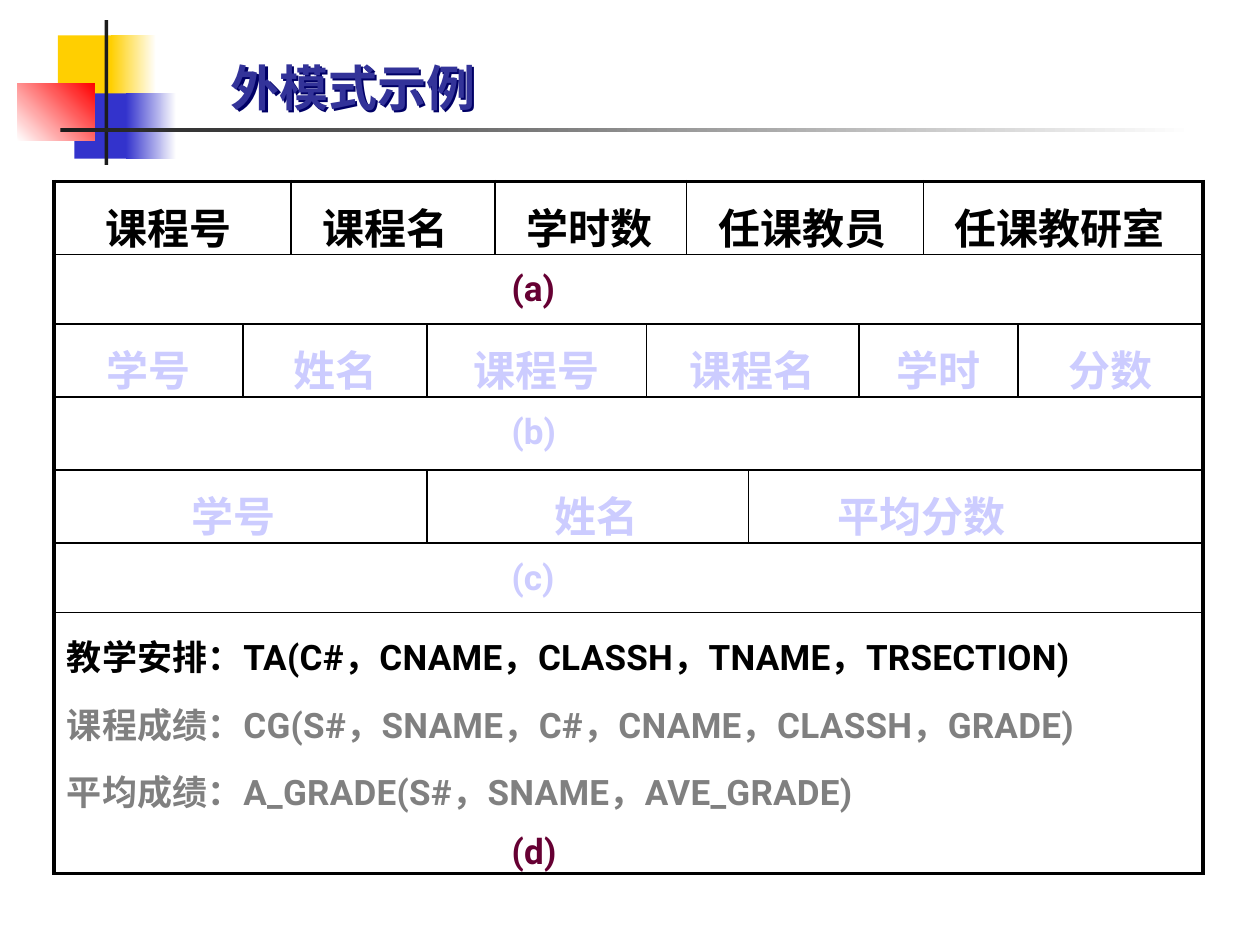
from dataclasses import dataclass

from lxml import etree
from pptx import Presentation
from pptx import util as u
from pptx.dml.color import RGBColor
from pptx.enum import shapes, text
from pptx.oxml.ns import qn


@dataclass(frozen=True)
class Theme:
    font: str = "Roboto"
    yellow: str = "FFCF01"
    blue: str = "3333CC"
    red: str = "FF0000"
    white: str = "FFFFFF"
    bar: str = "1C1C1C"
    title: str = "333399"
    title_shadow: str = "000066"
    ink: str = "000000"
    label: str = "660033"
    pale: str = "CCCCFF"
    gray: str = "808080"
    title_size: int = 28
    field_size: int = 24
    body_size: int = 20
    outer_line: float = 2.25
    inner_line: float = 1


theme = Theme()


def add_run(paragraph, words, size, color):
    run = paragraph.add_run()
    run.text = words
    run.font.size = u.Pt(size)
    run.font.bold = True
    run.font.color.rgb = RGBColor.from_string(color)
    run.font.name = theme.font
    latin = run.font._element.find(qn("a:latin"))
    latin.addnext(etree.Element(qn("a:ea"), typeface=theme.font))
    return run


def set_border(cell, side, width):
    line = etree.SubElement(cell._tc.get_or_add_tcPr(), qn(f"a:ln{side}"), w=str(u.Pt(width)))
    fill = etree.SubElement(line, qn("a:solidFill"))
    etree.SubElement(fill, qn("a:srgbClr"), val=theme.ink)


presentation = Presentation()
presentation.slide_width = u.Inches(10)
presentation.slide_height = u.Inches(7.5)
slide = presentation.slides.add_slide(presentation.slide_layouts[5])

# Corner ornament: left, top, width, height, colours, gradient angle
ornament = [
    (0.46, 0.28, 0.48, 0.52, [theme.yellow], 0),
    (0.88, 0.28, 0.36, 0.52, [theme.yellow, theme.white], 0),
    (0.59, 0.74, 0.46, 0.52, [theme.blue], 0),
    (1.0, 0.74, 0.4, 0.52, [theme.blue, theme.white], 0),
    (0.14, 0.66, 0.61, 0.46, [theme.white, theme.red], 45),
    (0.83, 0.16, 0.03, 1.15, [theme.bar], 0),
    (0.48, 1.02, 9, 0.03, [theme.bar, theme.white], 0),
]
for *box, colors, angle in ornament:
    shape = slide.shapes.add_shape(shapes.MSO_SHAPE.RECTANGLE, *map(u.Inches, box))
    shape.shadow.inherit = False
    shape.line.fill.background()
    if len(colors) == 1:
        shape.fill.solid()
        shape.fill.fore_color.rgb = RGBColor.from_string(colors[0])
    else:
        shape.fill.gradient()
        shape.fill.gradient_angle = angle
        for stop, color, position in zip(shape.fill.gradient_stops, colors, (0, 1)):
            stop.color.rgb = RGBColor.from_string(color)
            stop.position = position

# Title; the shadow of its unfilled box falls from the letters
title = slide.shapes.title
title.left, title.top, title.width, title.height = map(u.Inches, (1.73, 0.29, 3.11, 0.68))
title.fill.background()
title.text_frame.vertical_anchor = text.MSO_ANCHOR.BOTTOM
paragraph = title.text_frame.paragraphs[0]
paragraph.alignment = text.PP_ALIGN.LEFT
add_run(paragraph, "外模式示例", theme.title_size, theme.title)
effects = etree.SubElement(title._element.spPr, qn("a:effectLst"))
shadow = etree.SubElement(effects, qn("a:outerShdw"), dist="25400", dir="2700000")
etree.SubElement(shadow, qn("a:srgbClr"), val=theme.title_shadow)

# Each row lists its cells as (column span, paragraphs), with a top margin;
# a paragraph is (words, size, colour, indent, space before),
# centred when the indent is None.
label_indent = 3.53
column_widths = [1.5, 0.38, 1.08, 0.54, 1.2, 0.32, 0.49, 0.88, 0.51, 0.75, 1.47]
row_heights = [0.58, 0.55, 0.58, 0.58, 0.58, 0.55, 2.05]
column_count = len(column_widths)
field_rows = [
    (theme.ink, [("课程号", 2, 0.31), ("课程名", 2, 0.15), ("学时数", 2, 0.15),
                 ("任课教员", 3, 0.15), ("任课教研室", 2, 0.15)]),
    (theme.pale, [("学号", 1, None), ("姓名", 2, None), ("课程号", 2, None),
                  ("课程名", 3, None), ("学时", 2, None), ("分数", 1, None)]),
    (theme.pale, [("学号", 3, 0.99), ("姓名", 4, 0.91), ("平均分数", 4, 0.61)]),
]
labels = [("(a)", theme.label), ("(b)", theme.pale), ("(c)", theme.pale)]
rows = []
for (color, fields), (label, label_color) in zip(field_rows, labels):
    rows.append((0.11, [(span, [(words, theme.field_size, color, indent, 0)])
                        for words, span, indent in fields]))
    rows.append((0.05, [(column_count,
                         [(label, theme.body_size, label_color, label_indent, 0)])]))
relations = [
    ("教学安排：TA(C#，CNAME，CLASSH，TNAME，TRSECTION)", theme.ink, 0, 0),
    ("课程成绩：CG(S#，SNAME，C#，CNAME，CLASSH，GRADE)", theme.gray, 0, 10.3),
    ("平均成绩：A_GRADE(S#，SNAME，AVE_GRADE)", theme.gray, 0, 10.3),
    ("(d)", theme.label, label_indent, 5.5),
]
rows.append((0.14, [(column_count, [(words, theme.body_size, *rest)
                                    for words, *rest in relations])]))

frame = slide.shapes.add_table(len(rows), column_count, u.Inches(0.43), u.Inches(1.44),
                               u.Inches(sum(column_widths)), u.Inches(sum(row_heights)))
table = frame.table
table.first_row = False
table.horz_banding = False
for column, width in zip(table.columns, column_widths):
    column.width = u.Inches(width)
for table_row, height in zip(table.rows, row_heights):
    table_row.height = u.Inches(height)

for row_index, (top_margin, row) in enumerate(rows):
    first = 0
    for span, paragraphs in row:
        last = first + span - 1
        cell = table.cell(row_index, first)
        if span > 1:
            cell.merge(table.cell(row_index, last))
        cell.margin_top = u.Inches(top_margin)
        cell.margin_bottom = 0
        for index, (words, size, color, indent, space) in enumerate(paragraphs):
            body = cell.text_frame
            paragraph = body.add_paragraph() if index else body.paragraphs[0]
            paragraph.line_spacing = 1.2
            if space:
                paragraph.space_before = u.Pt(space)
            if indent is None:
                paragraph.alignment = text.PP_ALIGN.CENTER
            elif indent:
                paragraph._p.get_or_add_pPr().set("marL", str(u.Inches(indent)))
            run = add_run(paragraph, words, size, color)
            if len(paragraphs) > 1:
                run.font._element.set("spc", "13")
        widths = {
            "L": theme.inner_line if first else theme.outer_line,
            "R": theme.inner_line if last < column_count - 1 else theme.outer_line,
            "T": theme.inner_line if row_index else theme.outer_line,
            "B": theme.inner_line if row_index < len(rows) - 1 else theme.outer_line,
        }
        for column_index in range(first, last + 1):
            part = table.cell(row_index, column_index)
            for side, width in widths.items():
                set_border(part, side, width)
            part.fill.background()
        first = last + 1

presentation.save("out.pptx")
